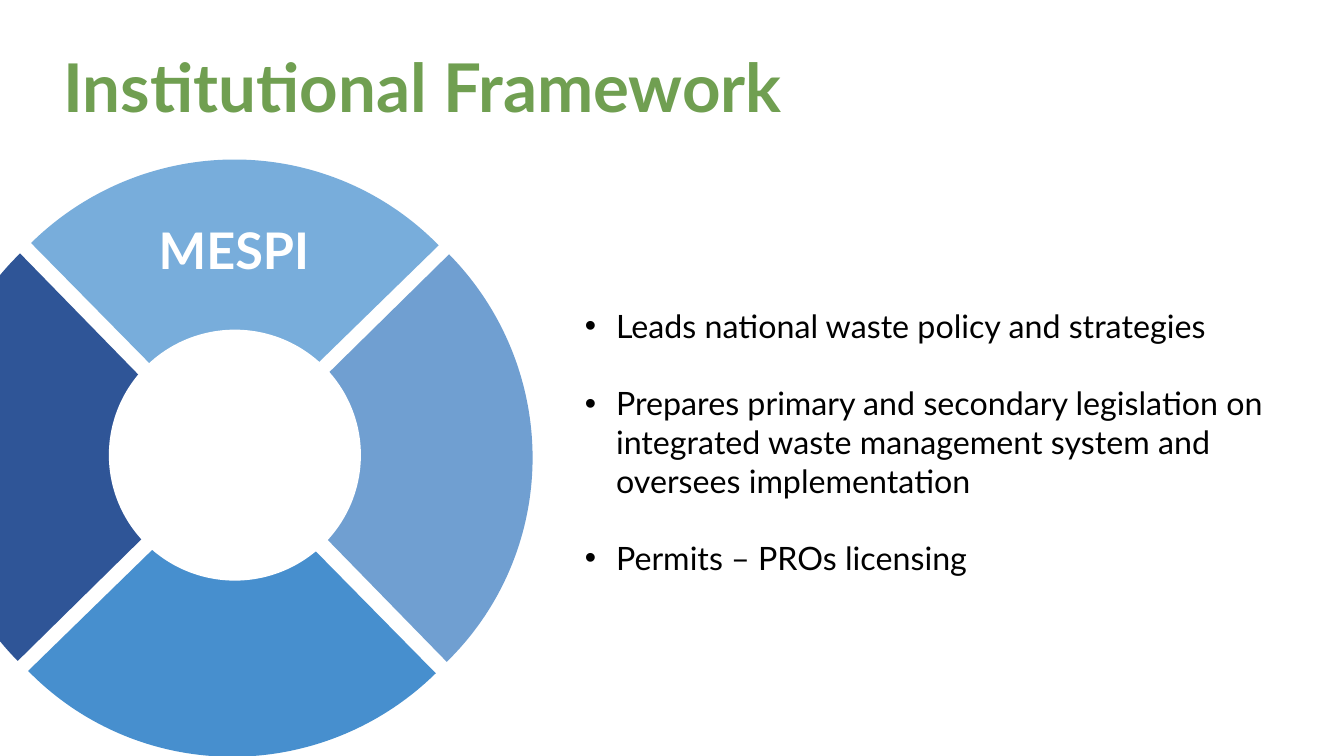
"""Build the Institutional Framework slide with its four-part ring."""
from dataclasses import dataclass

from lxml import etree
from pptx import Presentation
from pptx.dml.color import RGBColor
from pptx.enum.shapes import MSO_SHAPE as Shape
from pptx.enum.text import MSO_ANCHOR as Anchor, MSO_AUTO_SIZE as AutoSize, PP_ALIGN as Align
from pptx.oxml.ns import qn
from pptx.util import Inches, Pt

TITLE = "Institutional Framework"
LABEL = "MESPI"
BULLETS = [
    "Leads national waste policy and strategies",
    "Prepares primary and secondary legislation on integrated waste management "
    "system and oversees implementation",
    "Permits – PROs licensing",
]
# centre x, centre y, rotation, colour
SEGMENTS = [
    (2.33, 4.655, 225.7, "478FCE"),
    (2.43, 4.515, 135.7, "709FD1"),
    (2.3, 4.435, 45.7, "78ADDB"),
    (2.2, 4.565, 315.7, "2F5597"),
]
SEGMENT_SIZE = (5.68, 5.73)
SEGMENT_ANGLES = (107.85, 162)
HOLE = (2.33, 4.515, 2.5, 2.49)


@dataclass(frozen=True)
class Theme:
    font: str = "Lato"
    title: str = "709F51"
    text: str = "000000"
    white: str = "FFFFFF"
    title_size: int = 48
    label_size: int = 36
    body_size: int = 23
    gap: float = 27.6


THEME = Theme()


def place(sp, left, top, width, height):
    sp.left, sp.top = Inches(left), Inches(top)
    sp.width, sp.height = Inches(width), Inches(height)


def write(p, text, *, size, color, bold=False, align=Align.LEFT, bullet=False, before=0):
    p.alignment, p.line_spacing = align, 1.0
    p.space_before, p.space_after = Pt(before), Pt(0)
    if bullet:
        pPr = p._p.get_or_add_pPr()
        pPr.set("marL", str(Inches(0.31)))
        pPr.set("indent", str(-Inches(0.31)))
        etree.SubElement(pPr, qn("a:buFont"), typeface="Arial")
        etree.SubElement(pPr, qn("a:buChar"), char="•")
    r = p.add_run()
    r.text = text
    r.font.name, r.font.size, r.font.bold = THEME.font, Pt(size), bold
    r.font.color.rgb = RGBColor.from_string(color)


def frame(sp):
    tf = sp.text_frame
    tf.word_wrap, tf.auto_size, tf.vertical_anchor = True, AutoSize.NONE, Anchor.TOP
    return tf


def add_centred(s, kind, x, y, width, height, color, rotation=0):
    sp = s.shapes.add_shape(kind, Inches(x - width / 2), Inches(y - height / 2),
                            Inches(width), Inches(height))
    sp.rotation = rotation
    sp.shadow.inherit = False
    sp.fill.solid()
    sp.fill.fore_color.rgb = RGBColor.from_string(color)
    sp.line.fill.background()
    return sp


def add_ring(s):
    for x, y, rotation, color in SEGMENTS:
        sp = add_centred(s, Shape.PIE, x, y, *SEGMENT_SIZE, color, rotation)
        sp.adjustments[0], sp.adjustments[1] = SEGMENT_ANGLES
    add_centred(s, Shape.OVAL, *HOLE, THEME.white)
    label = s.shapes.add_textbox(Inches(1.23), Inches(2.12), Inches(2.18), Inches(0.71))
    write(frame(label).paragraphs[0], LABEL, size=THEME.label_size, color=THEME.white,
          bold=True, align=Align.CENTER)


def add_text(s):
    title, body = s.shapes.title, s.placeholders[1]
    place(title, 0.53, 0.4, 10.68, 0.91)
    write(frame(title).paragraphs[0], TITLE, size=THEME.title_size, color=THEME.title, bold=True)
    place(body, 5.7, 2.99, 7, 2.81)
    tf = frame(body)
    for i, text in enumerate(BULLETS):
        p = tf.add_paragraph() if i else tf.paragraphs[0]
        write(p, text, size=THEME.body_size, color=THEME.text, bullet=True,
              before=THEME.gap if i else 0)


def main():
    prs = Presentation()
    prs.slide_width, prs.slide_height = Inches(13.33), Inches(7.5)
    s = prs.slides.add_slide(prs.slide_layouts[1])
    add_text(s)
    add_ring(s)
    prs.save("out.pptx")


if __name__ == "__main__":
    main()
